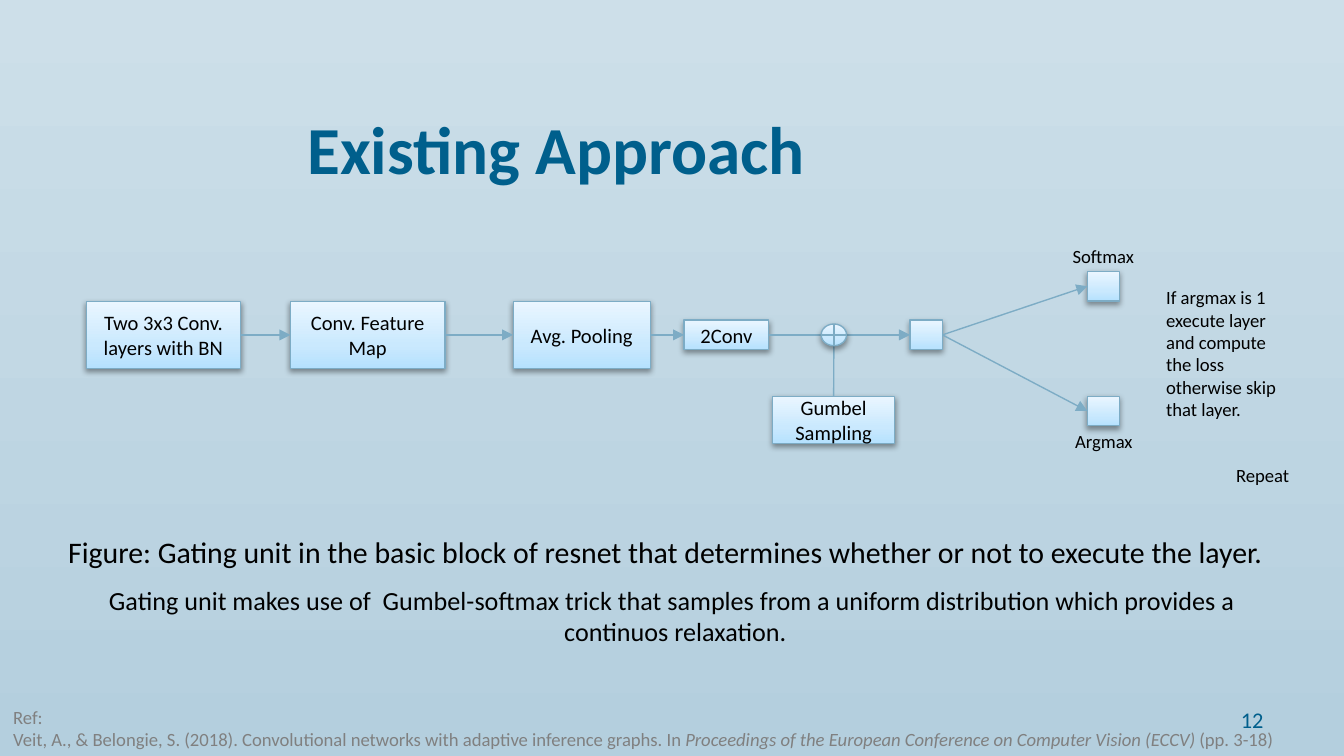
"""Builds the slide that shows the gating unit of the existing approach."""
from copy import deepcopy
from dataclasses import dataclass

from lxml.etree import SubElement
from pptx import Presentation
from pptx.dml.color import RGBColor
from pptx.enum.shapes import MSO_CONNECTOR as Connector, MSO_SHAPE as Shape
from pptx.enum.text import MSO_ANCHOR as Anchor, PP_ALIGN as Align
from pptx.oxml.ns import qn
from pptx.util import Cm, Pt

TOP, LEFT, BOTTOM, RIGHT = range(4)


@dataclass(frozen=True)
class Theme:
    font: str = "Calibri"
    ink: str = "000000"
    accent: str = "005F8C"
    muted: str = "808080"
    edge: str = "7DACC5"
    edge_width: float = 0.75
    backdrop: tuple = ((0, "CDDFE9"), (1, "B4CFDE"))
    block: tuple = ((0, "B5E1FE"), (0.35, "CAE9FE"), (1, "EAF6FF"))
    title: int = 36
    caption: int = 16
    body: int = 14
    number: int = 12
    label: int = 11
    small: int = 10


class Painter:
    def __init__(self, page, theme):
        self.page, self.theme = page, theme

    def gradient(self, fill, owner, stops, angle):
        fill.gradient()
        fill.gradient_angle = angle
        stop_list = next(owner.iter(qn("a:gsLst")))
        for _ in stops[2:]:
            stop_list.append(deepcopy(stop_list[0]))
        for stop, (position, color) in zip(fill.gradient_stops, stops):
            stop.position = position
            stop.color.rgb = RGBColor.from_string(color)

    def background(self):
        fill = self.page.background.fill
        self.gradient(fill, self.page.element, self.theme.backdrop, 270)

    def outline(self, line):
        line.color.rgb = RGBColor.from_string(self.theme.edge)
        line.width = Pt(self.theme.edge_width)

    def fill_text(self, frame, paragraphs, size, color, align, bold=None):
        for index, text in enumerate(paragraphs):
            para = frame.add_paragraph() if index else frame.paragraphs[0]
            para.alignment = align
            para.font.name, para.font.size = self.theme.font, Pt(size)
            para.font.bold = bold
            para.font.color.rgb = RGBColor.from_string(color)
            for part, words in enumerate(text.split("*")):
                span = para.add_run()
                span.text = words
                if part % 2:
                    span.font.italic = True

    def text(self, place, paragraphs, size, color=None, align=Align.LEFT,
             wrap=True, anchor=Anchor.TOP, bold=None):
        frame = self.page.shapes.add_textbox(*map(Cm, place)).text_frame
        frame.word_wrap, frame.vertical_anchor = wrap, anchor
        self.fill_text(frame, paragraphs, size, color or self.theme.ink, align, bold)

    def block(self, left, middle, width, height, text="", kind=Shape.RECTANGLE):
        place = left, middle - height / 2, width, height
        box = self.page.shapes.add_shape(kind, *map(Cm, place))
        self.gradient(box.fill, box.element, self.theme.block, 90)
        self.outline(box.line)
        box.shadow.inherit = False
        effects = next(box.element.iter(qn("a:effectLst")))
        shadow = SubElement(effects, qn("a:outerShdw"), blurRad=str(Pt(3.1)),
                            dist=str(Pt(1.6)), dir="5400000", rotWithShape="0")
        black = SubElement(shadow, qn("a:srgbClr"), val="000000")
        SubElement(black, qn("a:alpha"), val="38000")
        if text:
            frame = box.text_frame
            frame.word_wrap, frame.vertical_anchor = True, Anchor.MIDDLE
            self.fill_text(frame, [text], self.theme.label, self.theme.ink, Align.CENTER)
        return box

    def line(self, *ends):
        line = self.page.shapes.add_connector(Connector.STRAIGHT, *ends)
        self.outline(line.line)
        SubElement(line.element.spPr, qn("a:effectLst"))
        return line

    def arrow(self, start, end, start_side=RIGHT, end_side=LEFT):
        arrow = self.line(0, 0, 0, 0)
        arrow.begin_connect(start, start_side)
        arrow.end_connect(end, end_side)
        SubElement(arrow.element.spPr.find(qn("a:ln")), qn("a:tailEnd"), type="triangle")

    def sum_node(self, left, middle, width, height, source):
        stem = self.line(Cm(left + width / 2), Cm(middle + height),
                         Cm(left + width / 2), Cm(middle))
        stem.begin_connect(source, TOP)
        node = self.block(left, middle, width, height, kind=Shape.OVAL)
        center_x, center_y = node.left + node.width // 2, node.top + node.height // 2
        self.line(center_x, node.top, center_x, node.top + node.height)
        self.line(node.left, center_y, node.left + node.width, center_y)


def main():
    deck = Presentation()
    deck.slide_width, deck.slide_height = Cm(25.4), Cm(14.29)
    page = deck.slides.add_slide(deck.slide_layouts[6])
    theme = Theme()
    painter = Painter(page, theme)
    painter.background()

    painter.text((5.56, 1.9, 18.57, 2.36), ["Existing Approach"], theme.title,
                 theme.accent, bold=True)

    axis, cell = 6.33, (0.61, 0.56)
    steps = [painter.block(left, axis, width, height, text)
             for left, width, height, text in (
                 (1.63, 2.92, 1.27, "Two 3x3 Conv. layers with BN"),
                 (5.49, 2.92, 1.27, "Conv. Feature Map"),
                 (9.7, 2.59, 1.27, "Avg. Pooling"),
                 (12.93, 1.6, 0.56, "2Conv"),
                 (17.2, *cell, ""))]
    for start, end in zip(steps, steps[1:]):
        painter.arrow(start, end)
    sampling = painter.block(14.6, 7.94, 2.31, 0.89, "Gumbel Sampling")
    painter.sum_node(15.52, axis, 0.48, 0.41, sampling)
    for middle, label, label_left, label_top in (
            (5.41, "Softmax", 20.02, 4.5), (7.77, "Argmax", 20.07, 8.0)):
        painter.arrow(steps[-1], painter.block(20.55, middle, *cell))
        painter.text((label_left, label_top, 2.31, 0.69), [label], theme.small)

    painter.text((21.79, 5.28, 2.64, 2.82),
                 ["If argmax is 1 execute layer and compute the loss "
                  "otherwise skip that layer."], theme.small)
    painter.text((23.11, 8.64, 1.55, 0.69), ["Repeat"], theme.small, wrap=False)
    painter.text((1.04, 9.96, 23.39, 0.94),
                 ["Figure: Gating unit in the basic block of resnet that determines "
                  "whether or not to execute the layer."], theme.caption, wrap=False)
    painter.text((0.51, 10.92, 24.51, 1.45),
                 ["Gating unit makes use of  Gumbel-softmax trick that samples from a "
                  "uniform distribution which provides a ", "continuos relaxation."],
                 theme.body, align=Align.CENTER)
    painter.text((0, 13.21, 24.69, 1.96),
                 ["Ref:", "Veit, A., & Belongie, S. (2018). Convolutional networks with "
                  "adaptive inference graphs. In *Proceedings of the European Conference "
                  "on Computer Vision (ECCV)* (pp. 3-18)"],
                 theme.small, theme.muted, wrap=False)
    painter.text((18.21, 13.23, 5.92, 0.76), ["12"], theme.number, theme.accent,
                 Align.RIGHT, anchor=Anchor.MIDDLE)
    deck.save("out.pptx")


if __name__ == "__main__":
    main()
